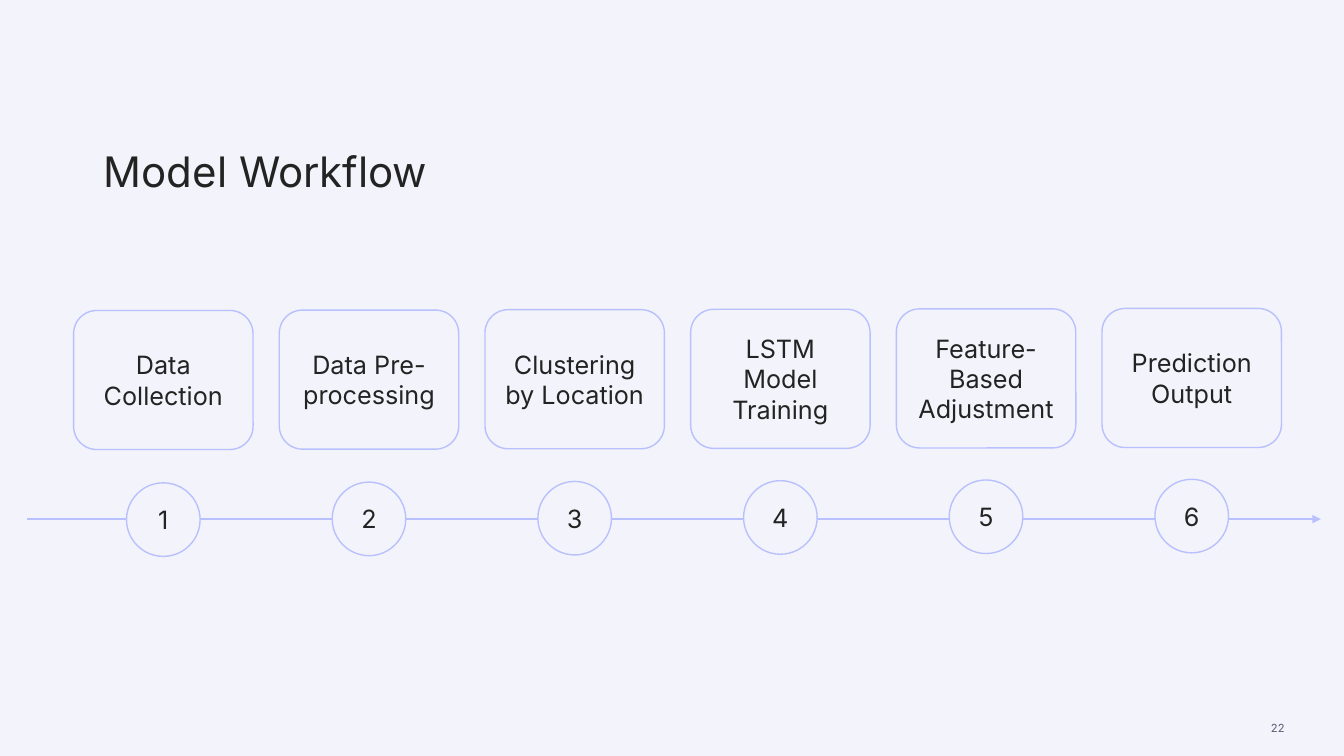
from dataclasses import dataclass

from lxml.etree import SubElement
from pptx import Presentation
from pptx.dml.color import RGBColor
from pptx.enum.shapes import MSO_CONNECTOR, MSO_SHAPE
from pptx.enum.text import MSO_ANCHOR, MSO_AUTO_SIZE, PP_ALIGN
from pptx.oxml.ns import qn
from pptx.shapes.autoshape import Shape
from pptx.slide import Slide
from pptx.util import Inches, Pt


@dataclass(frozen=True)
class Theme:
    font: str = "Inter"
    background: RGBColor = RGBColor.from_string("F3F3FB")
    ink: RGBColor = RGBColor.from_string("232323")
    muted: RGBColor = RGBColor.from_string("5C5D76")
    outline: RGBColor = RGBColor.from_string("B8C1FD")
    title_size: float = 30
    body_size: float = 18
    page_size: float = 8
    outline_width: float = 1
    arrow_width: float = 1.75


@dataclass(frozen=True)
class Grid:
    """Six equal columns; lengths in inches."""
    left: float = 0.73
    pitch: float = 2.04
    card_top: float = 3.08
    card_width: float = 1.78
    card_height: float = 1.38
    circle_top: float = 4.79
    circle_size: float = 0.73
    card_rise: float = 0.004
    circle_rise: float = 0.007

    def column(self, index: int) -> float:
        return self.left + index * self.pitch


@dataclass(frozen=True)
class Box:
    left: float
    top: float
    width: float
    height: float

    def lengths(self) -> tuple[int, int, int, int]:
        return (Inches(self.left), Inches(self.top),
                Inches(self.width), Inches(self.height))


@dataclass(frozen=True)
class Step:
    number: int
    label: str


THEME = Theme()
GRID = Grid()
SLIDE_WIDTH, SLIDE_HEIGHT = 13.33, 7.5
STEPS = [Step(number, label) for number, label in enumerate((
    "Data Collection",
    "Data Pre-processing",
    "Clustering by Location",
    "LSTM Model Training",
    "Feature-Based Adjustment",
    "Prediction Output",
), start=1)]


def write_text(shape: Shape, text: str, size: float, color: RGBColor,
               alignment: PP_ALIGN, anchor: MSO_ANCHOR) -> None:
    frame = shape.text_frame
    frame.word_wrap = True
    frame.auto_size = MSO_AUTO_SIZE.NONE
    frame.vertical_anchor = anchor
    paragraph = frame.paragraphs[0]
    paragraph.alignment = alignment
    run = paragraph.add_run()
    run.text = text
    run.font.name = THEME.font
    run.font.size = Pt(size)
    run.font.color.rgb = color


def add_outlined(slide: Slide, kind: MSO_SHAPE, box: Box, text: str, filled: bool) -> None:
    shape = slide.shapes.add_shape(kind, *box.lengths())
    shape.shadow.inherit = False
    if filled:
        shape.fill.solid()
        shape.fill.fore_color.rgb = THEME.background
    else:
        shape.fill.background()
    shape.line.color.rgb = THEME.outline
    shape.line.width = Pt(THEME.outline_width)
    write_text(shape, text, THEME.body_size, THEME.ink, PP_ALIGN.CENTER, MSO_ANCHOR.MIDDLE)


def add_card(slide: Slide, index: int, step: Step) -> None:
    box = Box(GRID.column(index), GRID.card_top - index * GRID.card_rise,
              GRID.card_width, GRID.card_height)
    add_outlined(slide, MSO_SHAPE.ROUNDED_RECTANGLE, box, step.label, filled=False)


def add_circle(slide: Slide, index: int, step: Step) -> None:
    left = GRID.column(index) + (GRID.card_width - GRID.circle_size) / 2
    box = Box(left, GRID.circle_top - index * GRID.circle_rise,
              GRID.circle_size, GRID.circle_size)
    add_outlined(slide, MSO_SHAPE.OVAL, box, str(step.number), filled=True)


def add_timeline(slide: Slide, start: float, end: float, height: float) -> None:
    arrow = slide.shapes.add_connector(
        MSO_CONNECTOR.STRAIGHT, Inches(start), Inches(height), Inches(end), Inches(height))
    arrow.line.color.rgb = THEME.outline
    arrow.line.width = Pt(THEME.arrow_width)
    SubElement(arrow.line._get_or_add_ln(), qn("a:tailEnd"), type="triangle")
    SubElement(arrow._element.spPr, qn("a:effectLst"))


def main() -> None:
    presentation = Presentation()
    presentation.slide_width = Inches(SLIDE_WIDTH)
    presentation.slide_height = Inches(SLIDE_HEIGHT)
    slide = presentation.slides.add_slide(presentation.slide_layouts[5])
    slide.background.fill.solid()
    slide.background.fill.fore_color.rgb = THEME.background

    # Title
    title = slide.shapes.title
    title.left, title.top, title.width, title.height = Box(0.93, 1.39, 9.4, 1.06).lengths()
    write_text(title, "Model Workflow", THEME.title_size, THEME.ink,
               PP_ALIGN.LEFT, MSO_ANCHOR.TOP)

    # Step cards
    for index, step in enumerate(STEPS):
        add_card(slide, index, step)

    # Timeline with numbered circles on top
    add_timeline(slide, 0.27, 13.1, 5.15)
    for index, step in enumerate(STEPS):
        add_circle(slide, index, step)

    # Page number
    page_number = slide.shapes.add_textbox(*Box(10.52, 6.94, 2.32, 0.56).lengths())
    write_text(page_number, "22", THEME.page_size, THEME.muted,
               PP_ALIGN.RIGHT, MSO_ANCHOR.MIDDLE)

    presentation.save("out.pptx")


if __name__ == "__main__":
    main()
